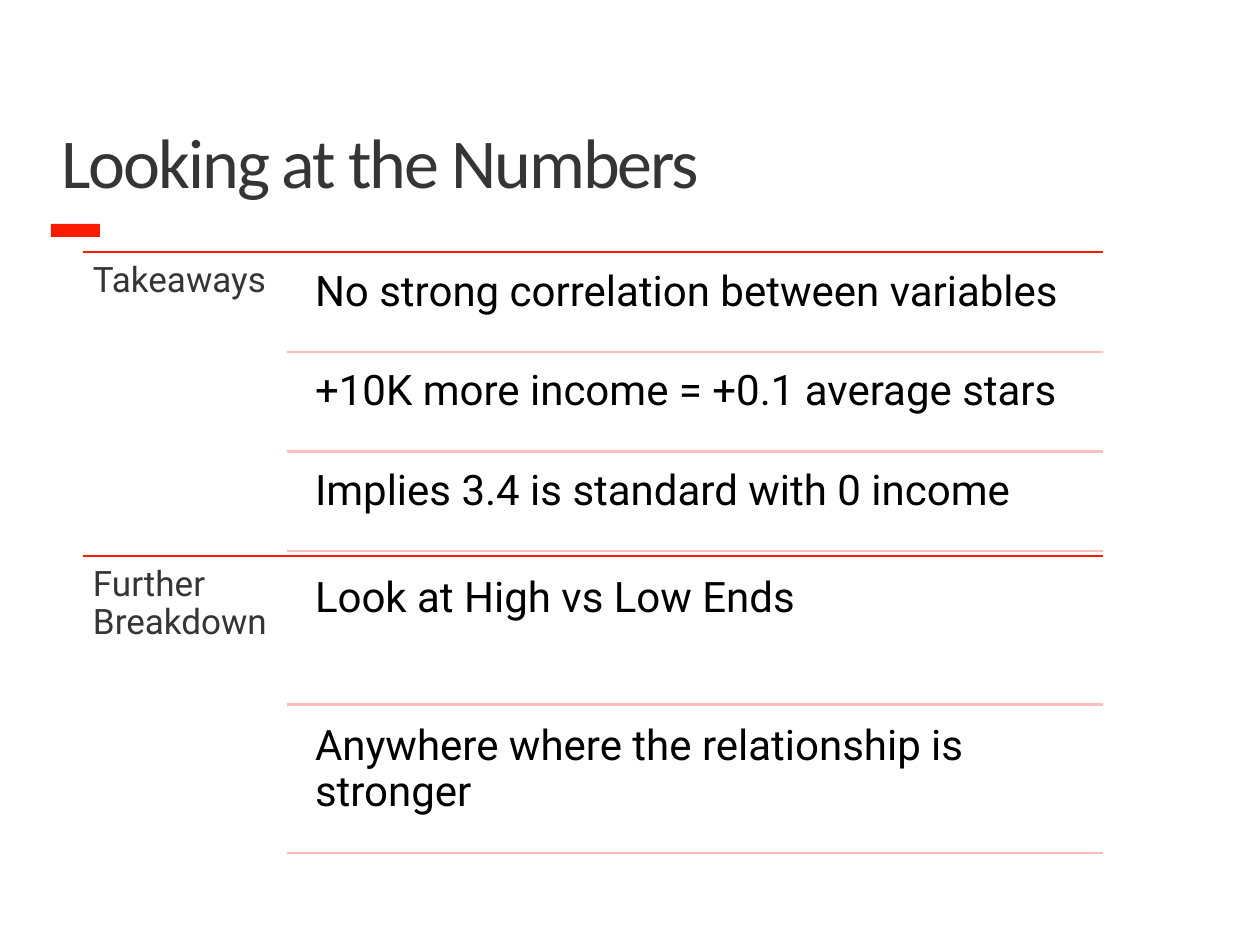
from lxml.etree import SubElement
from pptx import Presentation
from pptx.dml.color import RGBColor
from pptx.enum.shapes import MSO_CONNECTOR, MSO_SHAPE
from pptx.enum.text import MSO_ANCHOR
from pptx.oxml.ns import qn
from pptx.util import Pt

PX = 914400 / 126
HUES = {"red": "F81B02", "pink": "FCBDBD", "dark": "353535", "black": "000000"}
FORMS = {
    "title": {"name": "Calibri", "size": Pt(40), "hue": "dark"},
    "label": {"name": "Roboto", "size": Pt(20), "hue": "dark"},
    "point": {"name": "Roboto", "size": Pt(24), "hue": "black"},
}
PARTS = [
    ("Takeaways", [
        "No strong correlation between variables",
        "+10K more income = +0.1 average stars",
        "Implies 3.4 is standard with 0 income",
    ]),
    ("Further Breakdown", [
        "Look at High vs Low Ends",
        "Anywhere where the relationship is stronger",
    ]),
]


def emu(*sizes):
    return [round(size * PX) for size in sizes]


def tint(name):
    return RGBColor.from_string(HUES[name])


def add_text(shapes, box, words, form, pads, anchor=MSO_ANCHOR.TOP):
    frame = shapes.add_textbox(*emu(*box)).text_frame
    side, edge = emu(*pads)
    looks = {
        "word_wrap": True, "vertical_anchor": anchor,
        "margin_left": side, "margin_right": side,
        "margin_top": edge, "margin_bottom": edge,
    }
    for key, value in looks.items():
        setattr(frame, key, value)
    para = frame.paragraphs[0]
    para.line_spacing = 0.9
    run = para.add_run()
    run.text = words
    for key, value in FORMS[form].items():
        if key == "hue":
            run.font.color.rgb = tint(value)
        else:
            setattr(run.font, key, value)
    return run


def add_rule(shapes, left, right, top, hue):
    rule = shapes.add_connector(
        MSO_CONNECTOR.STRAIGHT, *emu(left, top, right, top))
    rule.line.color.rgb = tint(hue)
    rule.line.width = Pt(1.25)
    SubElement(rule._element.spPr, qn("a:effectLst"))


def add_title(shapes, box):
    left, top, width, height = box
    bar = shapes.add_shape(
        MSO_SHAPE.RECTANGLE, *emu(left + 3, top + height + 14, 49, 13))
    bar.shadow.inherit = False
    bar.fill.solid()
    bar.fill.fore_color.rgb = tint("red")
    bar.line.fill.background()
    run = add_text(shapes, box, "Looking at the Numbers", "title",
                   (13, 6), MSO_ANCHOR.BOTTOM)
    run._r.get_or_add_rPr().set("spc", "-110")


def add_part(shapes, box, label, points):
    left, top, width, height = box
    right = left + width
    split = left + 204
    add_rule(shapes, left, right, top, "red")
    add_text(shapes, (left, top, 204, height), label, "label", (10, 10))
    count = len(points)
    tall = height / (count + 0.05 * (count + 1))
    gap = tall * 0.05
    for row, point in enumerate(points):
        y = top + gap + row * (tall + gap)
        add_text(shapes, (split + 15, y, width - 219, tall),
                 point, "point", (13, 13))
        add_rule(shapes, split, right, y + tall, "pink")


def main():
    deck = Presentation()
    deck.slide_width, deck.slide_height = emu(1260, 945)
    slide = deck.slides.add_slide(deck.slide_layouts[6])
    add_title(slide.shapes, (48, 58, 1126, 152))
    group = slide.shapes.add_group_shape()
    for index, (label, points) in enumerate(PARTS):
        box = (83, 252 + index * 304, 1020, 304)
        add_part(group.shapes, box, label, points)
    deck.save("out.pptx")


if __name__ == "__main__":
    main()
